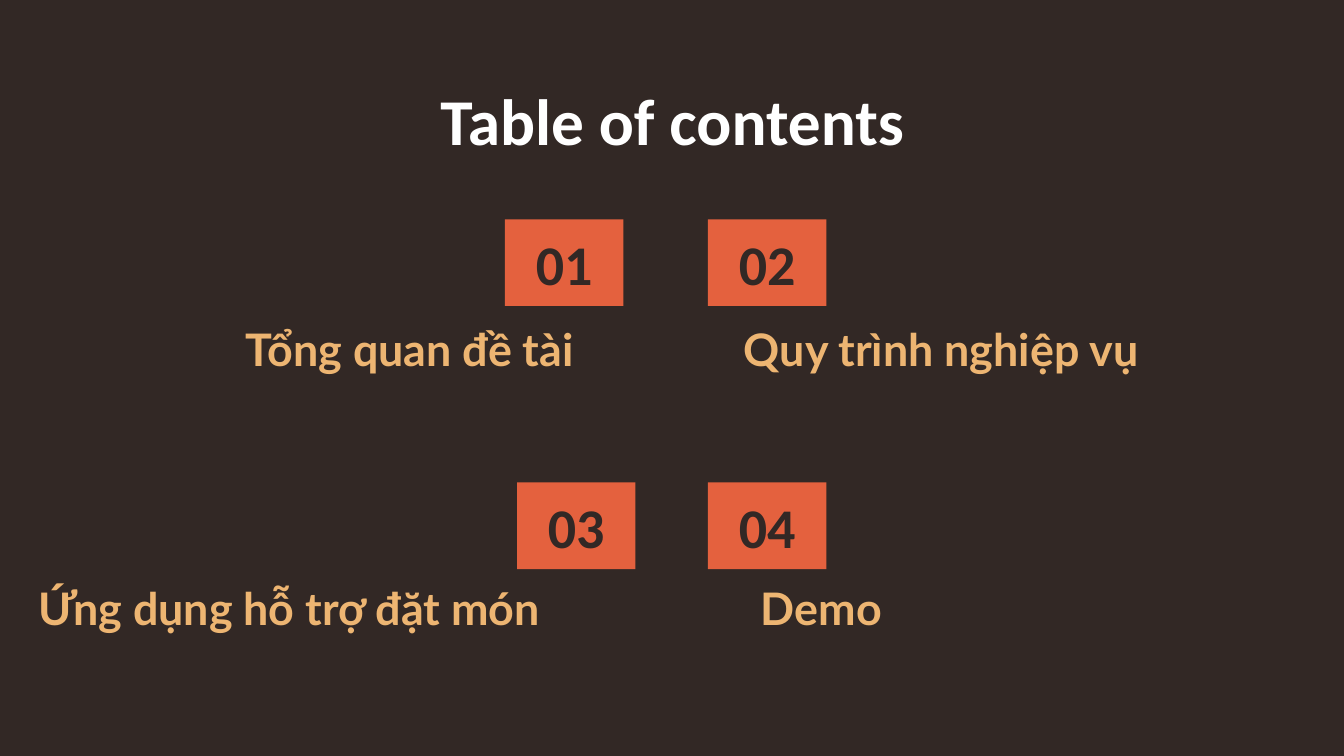
from dataclasses import dataclass

from pptx import Presentation
from pptx.dml.color import RGBColor
from pptx.enum.shapes import MSO_SHAPE
from pptx.enum.text import MSO_ANCHOR, PP_ALIGN
from pptx.util import Pt

RECTANGLE = MSO_SHAPE.RECTANGLE
LEFT, CENTER = PP_ALIGN.LEFT, PP_ALIGN.CENTER
TOP, MIDDLE, BOTTOM = MSO_ANCHOR.TOP, MSO_ANCHOR.MIDDLE, MSO_ANCHOR.BOTTOM


@dataclass(frozen=True)
class Theme:
    background: RGBColor = RGBColor(0x32, 0x28, 0x25)
    tile: RGBColor = RGBColor(0xE4, 0x61, 0x3E)
    topic: RGBColor = RGBColor(0xED, 0xB5, 0x72)
    title: RGBColor = RGBColor(0xFF, 0xFF, 0xFF)
    heading_font: str = "Calibri"
    topic_font: str = "Lato"
    title_size: float = 35
    number_size: float = 30
    topic_size: float = 24
    inset: float = 7.2


THEME = Theme()
TILE_WIDTH, TILE_HEIGHT = 63.5, 46.5
TOPIC_HEIGHT = 41.75
ROW_TOP, ROW_STEP = 117.5, 141
TOPIC_OFFSETS = (49, 46.75)

# Rows of (number, tile left, topic, topic left, topic width)
ROWS = (
    (("01", 270.5, "Tổng quan đề tài", 124.5, 255),
     ("02", 379.25, "Quy trình nghiệp vụ", 391.5, 255)),
    (("03", 277, "Ứng dụng hỗ trợ đặt món", 13.5, 327.5),
     ("04", 379.25, "Demo", 400.5, 255)),
)


def set_text(box, text, *, font, size, color, align=LEFT, anchor=TOP):
    frame = box.text_frame
    frame.word_wrap = True
    frame.vertical_anchor = anchor
    frame.margin_left = frame.margin_right = Pt(THEME.inset)
    frame.margin_top = frame.margin_bottom = Pt(THEME.inset)
    para = frame.paragraphs[0]
    para.alignment = align
    span = para.add_run()
    span.text = text
    span.font.name = font
    span.font.size = Pt(size)
    span.font.bold = True
    span.font.color.rgb = color


def set_title(page, text):
    box = page.shapes.title
    box.left, box.top = Pt(56.75), Pt(35.5)
    box.width, box.height = Pt(607), Pt(45)
    set_text(box, text, font=THEME.heading_font, size=THEME.title_size,
             color=THEME.title, align=CENTER)


def add_number_tile(page, number, left, top):
    tile = page.shapes.add_shape(
        RECTANGLE, Pt(left), Pt(top), Pt(TILE_WIDTH), Pt(TILE_HEIGHT))
    tile.shadow.inherit = False
    tile.fill.solid()
    tile.fill.fore_color.rgb = THEME.tile
    tile.line.fill.background()
    set_text(tile, number, font=THEME.heading_font, size=THEME.number_size,
             color=THEME.background, align=CENTER, anchor=MIDDLE)


def add_topic(page, text, left, top, width):
    box = page.shapes.add_textbox(
        Pt(left), Pt(top), Pt(width), Pt(TOPIC_HEIGHT))
    set_text(box, text, font=THEME.topic_font, size=THEME.topic_size,
             color=THEME.topic, anchor=BOTTOM)


def main():
    deck = Presentation()
    deck.slide_width, deck.slide_height = Pt(720), Pt(405)
    page = deck.slides.add_slide(deck.slide_layouts.get_by_name("Title Only"))
    page.background.fill.solid()
    page.background.fill.fore_color.rgb = THEME.background

    set_title(page, "Table of contents")
    for index, (row, offset) in enumerate(zip(ROWS, TOPIC_OFFSETS)):
        top = ROW_TOP + index * ROW_STEP
        for number, tile_left, topic, topic_left, topic_width in row:
            add_number_tile(page, number, tile_left, top)
            add_topic(page, topic, topic_left, top + offset, topic_width)

    deck.save("out.pptx")


if __name__ == "__main__":
    main()
